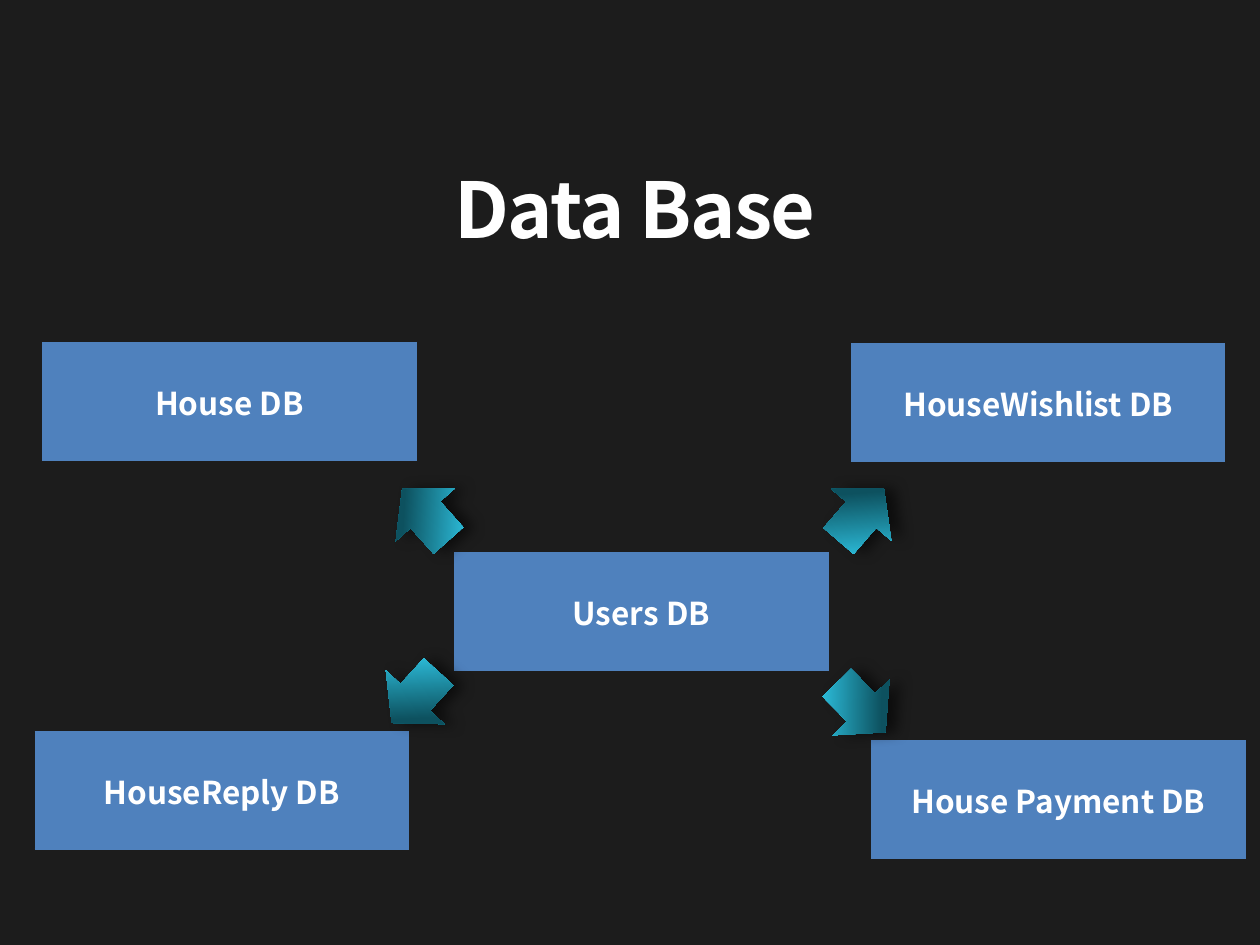
import pptx
import pptx.dml.color
import pptx.enum.shapes
import pptx.enum.text
import pptx.oxml
import pptx.oxml.ns
import pptx.util

RGB = pptx.dml.color.RGBColor
DARK = RGB(0x1C, 0x1C, 0x1C)
WHITE = RGB(0xFF, 0xFF, 0xFF)
BLUE = RGB(0x4F, 0x81, 0xBD)
BLACK = RGB(0, 0, 0)
STOPS = [
    (1, RGB(0x78, 0xDC, 0xF0)),
    (5, RGB(0x30, 0xC9, 0xE8)),
    (70, RGB(0x0D, 0x51, 0x5F)),
]
FONT = "Noto Sans CJK KR"
NS = pptx.oxml.ns.nsdecls("a")
MID = pptx.enum.text.MSO_ANCHOR.MIDDLE

deck = pptx.Presentation()
deck.slide_width = pptx.util.Inches(10)
deck.slide_height = pptx.util.Inches(7.5)
slide = deck.slides.add_slide(deck.slide_layouts[6])
slide.background.fill.solid()
slide.background.fill.fore_color.rgb = DARK


def place(col, row, wide, high):
    """Turn cells of a grid of 100 columns and 75 rows into lengths."""
    x, y = deck.slide_width / 100, deck.slide_height / 75
    return [round(n) for n in (col * x, row * y, wide * x, high * y)]


def write(frame, text, size=18, space=0):
    par = frame.paragraphs[0]
    par.alignment = pptx.enum.text.PP_ALIGN.CENTER
    run = par.add_run()
    run.text = text
    run.font.size = pptx.util.Pt(size)
    run.font.bold = True
    run.font.name = FONT
    run.font.color.rgb = WHITE
    props = run.font._element
    props.set("spc", str(round(space * 100)))
    east = pptx.oxml.parse_xml(f'<a:ea {NS} typeface="{FONT}"/>')
    props.find(pptx.oxml.ns.qn("a:latin")).addnext(east)


title = slide.shapes.add_textbox(*place(14.6, 8.4, 71.6, 16.1)).text_frame
title.word_wrap = True
title.vertical_anchor = MID
write(title, "Data Base", size=44, space=-0.9)

# Each store is a table of one cell
stores = [
    ("House DB", 3.4, 27.2),
    ("Users DB", 36.1, 43.9),
    ("HouseWishlist DB", 67.6, 27.3),
    ("HouseReply DB", 2.8, 58.1),
    ("House Payment DB", 69.2, 58.8),
]
for name, col, row in stores:
    table = slide.shapes.add_table(1, 1, *place(col, row, 29.6, 9.3)).table
    table.first_row = False
    table.horz_banding = False
    cell = table.cell(0, 0)
    cell.vertical_anchor = MID
    cell.fill.solid()
    cell.fill.fore_color.rgb = BLUE
    write(cell.text_frame, name)
    props = cell._tc.get_or_add_tcPr()
    for spot, side in enumerate("LRTB"):
        props.insert(spot, pptx.oxml.parse_xml(
            f'<a:ln{side} {NS} w="{pptx.util.Pt(1)}"><a:solidFill>'
            f'<a:srgbClr val="{BLUE}"/></a:solidFill></a:ln{side}>'))

# Arrows lead from the users to the other stores
stops = "".join(
    f'<a:gs pos="{pos * 1000}"><a:srgbClr val="{tint}"/></a:gs>'
    for pos, tint in STOPS)
arrows = [
    (65.2, 38.1, 220.8),
    (30.6, 38.1, 138.2),
    (29.8, 52.6, 42.4),
    (65.2, 53.4, 315.5),
]
for col, row, turn in arrows:
    arrow = slide.shapes.add_shape(
        pptx.enum.shapes.MSO_SHAPE.DOWN_ARROW, *place(col, row, 6.3, 5.5))
    arrow.rotation = turn
    arrow.line.fill.background()
    arrow.shadow.inherit = False
    props = arrow._element.spPr
    props.find(pptx.oxml.ns.qn("a:prstGeom")).addnext(pptx.oxml.parse_xml(
        f'<a:gradFill {NS} rotWithShape="1"><a:gsLst>{stops}</a:gsLst>'
        f'<a:lin ang="{45 * 60000}" scaled="0"/></a:gradFill>'))
    props.find(pptx.oxml.ns.qn("a:effectLst")).append(pptx.oxml.parse_xml(
        f'<a:outerShdw {NS} blurRad="{pptx.util.Pt(8)}" '
        f'dist="{pptx.util.Pt(6)}" dir="0" rotWithShape="0">'
        f'<a:srgbClr val="{BLACK}"><a:alpha val="55000"/></a:srgbClr>'
        '</a:outerShdw>'))

deck.save("out.pptx")
